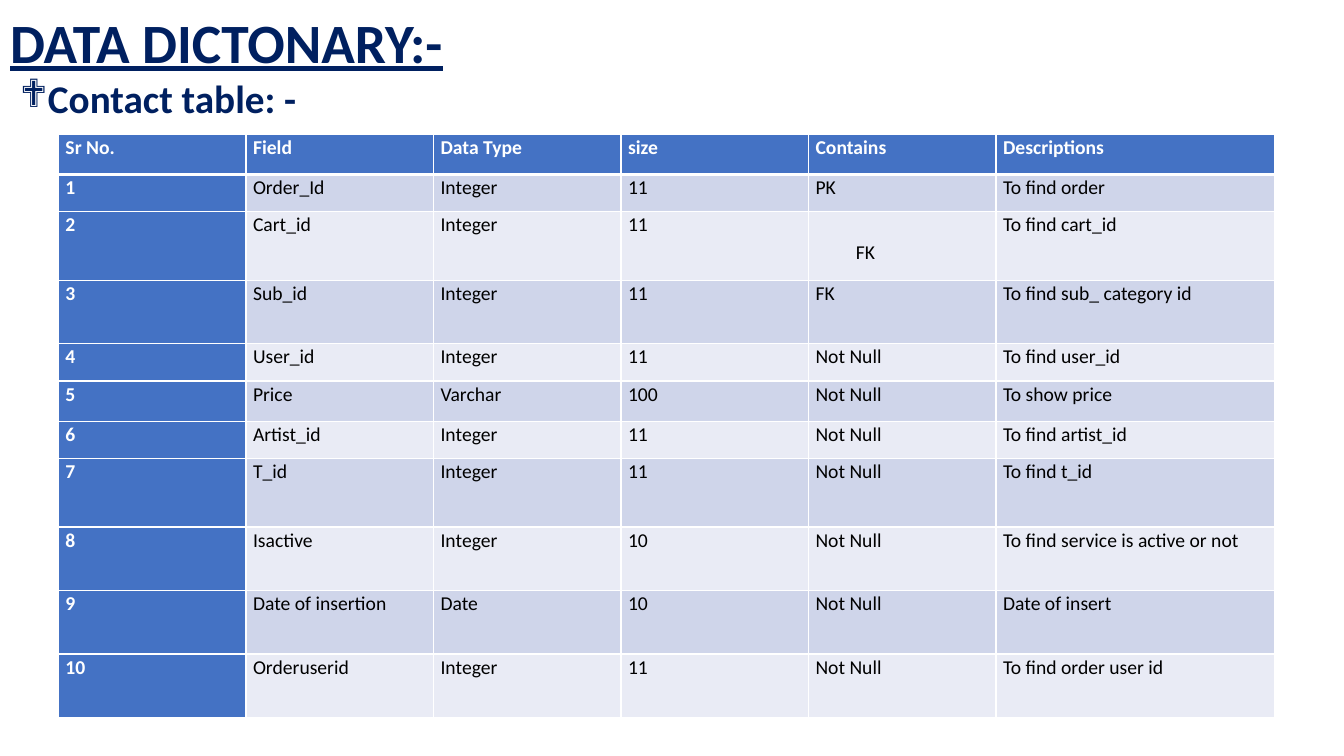
from dataclasses import astuple, dataclass

from lxml.etree import SubElement
from pptx import Presentation
from pptx.dml.color import RGBColor
from pptx.enum.text import MSO_ANCHOR, MSO_AUTO_SIZE, PP_ALIGN
from pptx.oxml.ns import qn
from pptx.util import Inches, Pt

COLORS = {
    "navy": "002060",
    "blue": "4472C4",
    "band_dark": "CFD5EA",
    "band_light": "E9EBF5",
    "white": "FFFFFF",
    "black": "000000",
}
FONT = "Calibri"
COLUMN_WIDTHS = [1.86] * 5 + [2.76]
HEADER_HEIGHT = 0.4


@dataclass
class Field:
    name: str
    data_type: str
    size: str
    contains: str
    description: str


@dataclass
class Row:
    field: Field
    height: float


HEADER = ("Sr No.", "Field", "Data Type", "size", "Contains", "Descriptions")
ROWS = [
    Row(Field("Order_Id", "Integer", "11", "PK", "To find order"), 0.37),
    Row(Field("Cart_id", "Integer", "11", "FK", "To find cart_id"), 0.68),
    Row(Field("Sub_id", "Integer", "11", "FK", "To find sub_ category id"), 0.63),
    Row(Field("User_id", "Integer", "11", "Not Null", "To find user_id"), 0.37),
    Row(Field("Price", "Varchar", "100", "Not Null", "To show price"), 0.4),
    Row(Field("Artist_id", "Integer", "11", "Not Null", "To find artist_id"), 0.37),
    Row(Field("T_id", "Integer", "11", "Not Null", "To find t_id"), 0.68),
    Row(Field("Isactive", "Integer", "10", "Not Null",
              "To find service is active or not"), 0.63),
    Row(Field("Date of insertion", "Date", "10", "Not Null", "Date of insert"), 0.63),
    Row(Field("Orderuserid", "Integer", "11", "Not Null", "To find order user id"), 0.63),
]


def rgb(name: str) -> RGBColor:
    return RGBColor.from_string(COLORS[name])


def write(tf, text: str, *, size: float, color: str, bold: bool = False,
          underline: bool = False, align=PP_ALIGN.LEFT, spacing: float = 0.9,
          after: float = 0, bullet: str = "") -> None:
    """Fill the first paragraph of a text frame with one formatted run."""
    p = tf.paragraphs[0]
    p.alignment = align
    p.line_spacing = spacing
    p.space_before = Pt(0)
    p.space_after = Pt(after)
    if bullet:
        pPr = p._p.get_or_add_pPr()
        pPr.set("marL", str(Inches(0.25)))
        pPr.set("indent", str(-Inches(0.25)))
        SubElement(pPr, qn("a:buFont"), typeface="Wingdings")
        SubElement(pPr, qn("a:buChar"), char=bullet)
    r = p.add_run()
    r.text = text
    r.font.name = FONT
    r.font.size = Pt(size)
    r.font.bold = bold
    r.font.underline = underline
    r.font.color.rgb = rgb(color)


def place(sp, left: float, top: float, width: float, height: float) -> None:
    sp.left, sp.top = Inches(left), Inches(top)
    sp.width, sp.height = Inches(width), Inches(height)
    sp.text_frame.word_wrap = True
    sp.text_frame.auto_size = MSO_AUTO_SIZE.NONE


def add_borders(cell, top: float, bottom: float) -> None:
    tcPr = cell._tc.get_or_add_tcPr()
    for side, width in (("L", 1), ("R", 1), ("T", top), ("B", bottom)):
        ln = SubElement(tcPr, qn(f"a:ln{side}"), w=str(Pt(width)))
        fill = SubElement(ln, qn("a:solidFill"))
        SubElement(fill, qn("a:srgbClr"), val=COLORS["white"])


def format_cell(cell, text: str, row: int, col: int) -> None:
    accent = row == 0 or col == 0
    add_borders(cell, top=3 if row == 1 else 1, bottom=3 if row == 0 else 1)
    cell.fill.solid()
    cell.fill.fore_color.rgb = rgb(
        "blue" if accent else "band_dark" if row % 2 else "band_light")
    cell.margin_left = cell.margin_right = Inches(0.07)
    cell.margin_top = cell.margin_bottom = 0
    write(cell.text_frame, text, size=14, color="white" if accent else "black",
          bold=accent, align=PP_ALIGN.JUSTIFY, spacing=1.07, after=0.5)


def add_dictionary(slide) -> None:
    heights = [HEADER_HEIGHT] + [row.height for row in ROWS]
    frame = slide.shapes.add_table(
        len(heights), len(COLUMN_WIDTHS), Inches(0.58), Inches(1.33),
        Inches(sum(COLUMN_WIDTHS)), Inches(sum(heights)))
    table = frame.table
    table.first_col = True
    for column, width in zip(table.columns, COLUMN_WIDTHS):
        column.width = Inches(width)
    for table_row, height in zip(table.rows, heights):
        table_row.height = Inches(height)
    lines = [HEADER] + [(str(n), *astuple(row.field)) for n, row in enumerate(ROWS, 1)]
    for i, line in enumerate(lines):
        for j, text in enumerate(line):
            format_cell(table.cell(i, j), text, i, j)
    cart_key = table.cell(2, 4)
    cart_key.margin_left, cart_key.margin_top = Inches(0.47), Inches(0.27)


def main() -> None:
    prs = Presentation()
    prs.slide_width, prs.slide_height = Inches(13.33), Inches(7.5)
    slide = prs.slides.add_slide(prs.slide_layouts[1])

    title, body = slide.shapes.title, slide.placeholders[1]
    place(title, 0, 0.16, 12.42, 0.58)
    title.text_frame.vertical_anchor = MSO_ANCHOR.MIDDLE
    write(title.text_frame, "DATA DICTONARY:-", size=39.6, color="navy",
          bold=True, underline=True)
    place(body, 0.1, 0.74, 12.32, 6.01)
    write(body.text_frame, "Contact table: -", size=28, color="navy",
          bold=True, bullet="❖")
    add_dictionary(slide)
    prs.save("out.pptx")


if __name__ == "__main__":
    main()
